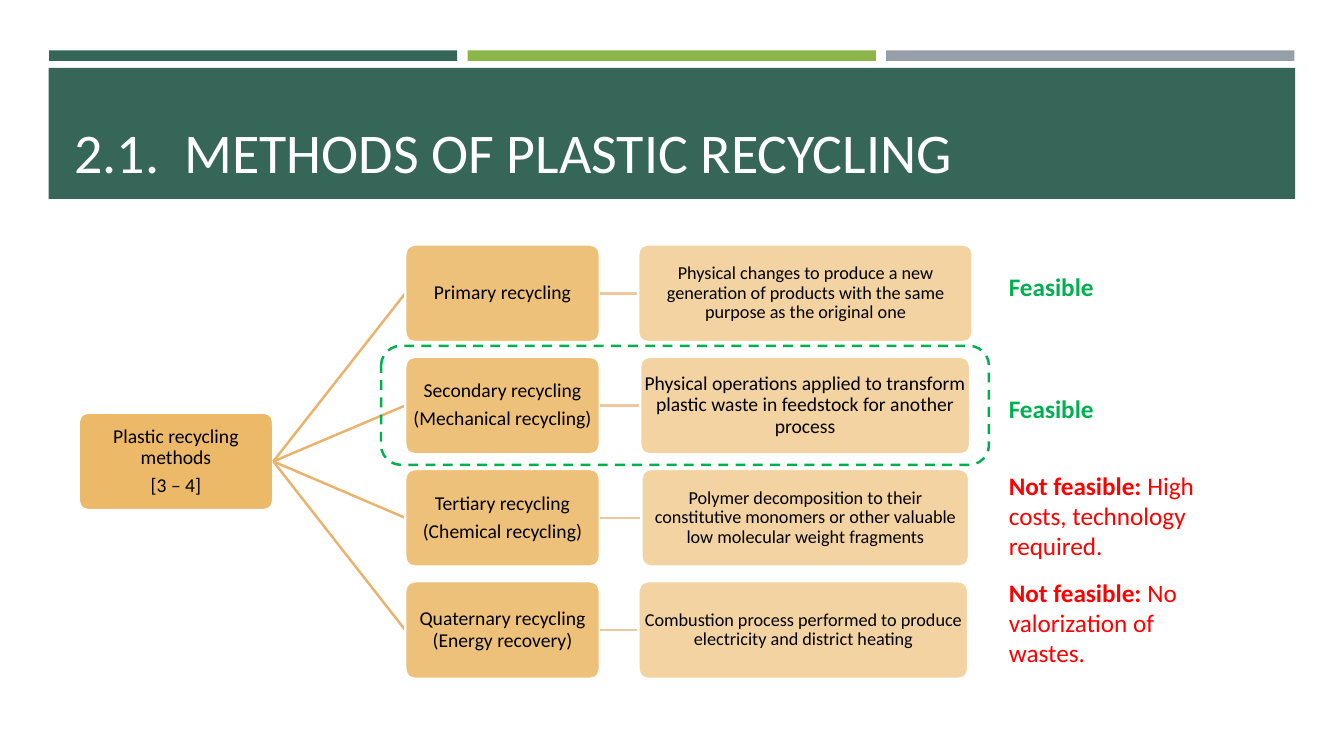
from lxml import etree
from pptx import Presentation
from pptx.dml.color import RGBColor
from pptx.enum.dml import MSO_LINE
from pptx.enum.shapes import MSO_CONNECTOR, MSO_SHAPE
from pptx.enum.text import MSO_ANCHOR as Anchor, PP_ALIGN as Align
from pptx.oxml.ns import qn
from pptx.util import Pt

COLORS = {
    "pine": "366658", "leaf": "8CB64A", "gray": "969FA7",
    "amber": "E8A844", "branch": "EAB36D", "link": "EFC79E",
    "feasible": "00B050", "not feasible": "FF0000",
    "white": "FFFFFF", "black": "000000",
}


class SlideBuilder:
    font = "Calibri"
    line_width = 1.75

    def __init__(self, slide):
        self.slide = slide
        self.shapes = slide.shapes

    def color(self, name):
        return RGBColor.from_string(COLORS[name])

    def style_run(self, run, size, color, bold=False):
        run.font.name = self.font
        run.font.size = Pt(size)
        run.font.bold = bold
        run.font.color.rgb = self.color(color)

    def bar(self, left, top, width, height, color):
        bar = self.shapes.add_shape(
            MSO_SHAPE.RECTANGLE, Pt(left), Pt(top), Pt(width), Pt(height))
        bar.shadow.inherit = False
        bar.fill.solid()
        bar.fill.fore_color.rgb = self.color(color)
        bar.line.fill.background()

    def card(self, left, middle, width, opacity, text, size=14):
        """Add a rounded amber box centred on the height middle."""
        card = self.shapes.add_shape(
            MSO_SHAPE.ROUNDED_RECTANGLE, Pt(left), Pt(middle - CARD_HEIGHT / 2),
            Pt(width), Pt(CARD_HEIGHT))
        card.adjustments[0] = 0.1
        card.shadow.inherit = False
        card.fill.solid()
        card.fill.fore_color.rgb = self.color("amber")
        tint = card._element.spPr.find(qn("a:solidFill"))[0]
        etree.SubElement(tint, qn("a:alpha"), val=str(opacity * 1000))
        card.line.color.rgb = self.color("white")
        card.line.width = Pt(self.line_width)
        frame = card.text_frame
        frame.word_wrap = True
        frame.vertical_anchor = Anchor.MIDDLE
        frame.margin_left = frame.margin_right = Pt(0.9)
        frame.margin_top = frame.margin_bottom = Pt(0.9)
        frame.text = text
        for paragraph in frame.paragraphs:
            paragraph.alignment = Align.CENTER
            paragraph.line_spacing = 0.9
            paragraph.space_after = Pt(0.35 * size)
            self.style_run(paragraph.runs[0], size, "black")

    def connector(self, start, end, color):
        connector = self.shapes.add_connector(
            MSO_CONNECTOR.STRAIGHT, *(Pt(value) for value in start + end))
        connector.line.color.rgb = self.color(color)
        connector.line.width = Pt(self.line_width)
        etree.SubElement(connector._element.spPr, qn("a:effectLst"))

    def text(self, left, top, width, height, parts, size, color, anchor=Anchor.TOP):
        """Add one paragraph made of (wording, bold) parts."""
        box = self.shapes.add_textbox(Pt(left), Pt(top), Pt(width), Pt(height))
        frame = box.text_frame
        frame.word_wrap = True
        frame.vertical_anchor = anchor
        for wording, bold in parts:
            run = frame.paragraphs[0].add_run()
            run.text = wording
            self.style_run(run, size, color, bold)

    def dashed_frame(self, left, top, width, height, color):
        outline = self.shapes.add_shape(
            MSO_SHAPE.ROUNDED_RECTANGLE, Pt(left), Pt(top), Pt(width), Pt(height))
        outline.shadow.inherit = False
        outline.fill.background()
        outline.line.color.rgb = self.color(color)
        outline.line.width = Pt(self.line_width)
        outline.line.dash_style = MSO_LINE.DASH


CARD_HEIGHT = 69.8
CARD_WIDTH = 139
ROOT_LEFT, ROOT_MIDDLE = 56.2, 329.6
METHOD_LEFT = 289.5
FIRST_MIDDLE, ROW_PITCH = 209.5, 80.2
VERDICT_LEFT = 713.5

# Method, description, its size, left and width
METHODS = [
    ("Primary recycling",
     "Physical changes to produce a new generation of products with the same "
     "purpose as the original one", 13, 455.8, 239),
    ("Secondary recycling\n(Mechanical recycling)",
     "Physical operations applied to transform plastic waste in feedstock for "
     "another process", 14, 457.2, 235.8),
    ("Tertiary recycling\n(Chemical recycling)",
     "Polymer decomposition to their constitutive monomers or other valuable "
     "low molecular weight fragments", 13, 458.2, 234),
    ("Quaternary recycling (Energy recovery)",
     "Combustion process performed to produce electricity and district heating",
     13, 456, 235.6),
]

# Top, width, height, colour and wording
VERDICTS = [
    (190.1, 83, 29, "feasible", [("Feasible", True)]),
    (277.2, 83, 29, "feasible", [("Feasible", True)]),
    (332.2, 170, 72.7, "not feasible",
     [("Not feasible: ", True), ("High costs, technology required.", False)]),
    (408.5, 170, 72.7, "not feasible",
     [("Not feasible: ", True), ("No valorization of wastes.", False)]),
]


def main():
    deck = Presentation()
    deck.slide_width, deck.slide_height = Pt(960), Pt(540)
    page = SlideBuilder(deck.slides.add_slide(deck.slide_layouts[6]))

    for column, color in enumerate(("pine", "leaf", "gray")):
        page.bar(35 + 299 * column, 36, 291.6, 7.5, color)
    page.bar(34.8, 48.5, 890.4, 93.6, "pine")
    page.text(46, 55.4, 868, 80, [("2.1.  METHODS OF PLASTIC RECYCLING", False)],
              40, "white", Anchor.BOTTOM)

    page.card(ROOT_LEFT, ROOT_MIDDLE, CARD_WIDTH, 80,
              "Plastic recycling methods\n[3 – 4]")
    for row, (method, description, size, left, width) in enumerate(METHODS):
        middle = FIRST_MIDDLE + ROW_PITCH * row
        page.connector((ROOT_LEFT + CARD_WIDTH, ROOT_MIDDLE),
                       (METHOD_LEFT, middle), "branch")
        page.card(METHOD_LEFT, middle, CARD_WIDTH, 70, method)
        page.connector((METHOD_LEFT + CARD_WIDTH, middle), (left, middle), "link")
        page.card(left, middle, width, 50, description, size)

    for top, width, height, color, parts in VERDICTS:
        page.text(VERDICT_LEFT, top, width, height, parts, 18, color)
    page.dashed_frame(272.2, 247, 434.2, 85, "feasible")

    deck.save("out.pptx")


if __name__ == "__main__":
    main()
